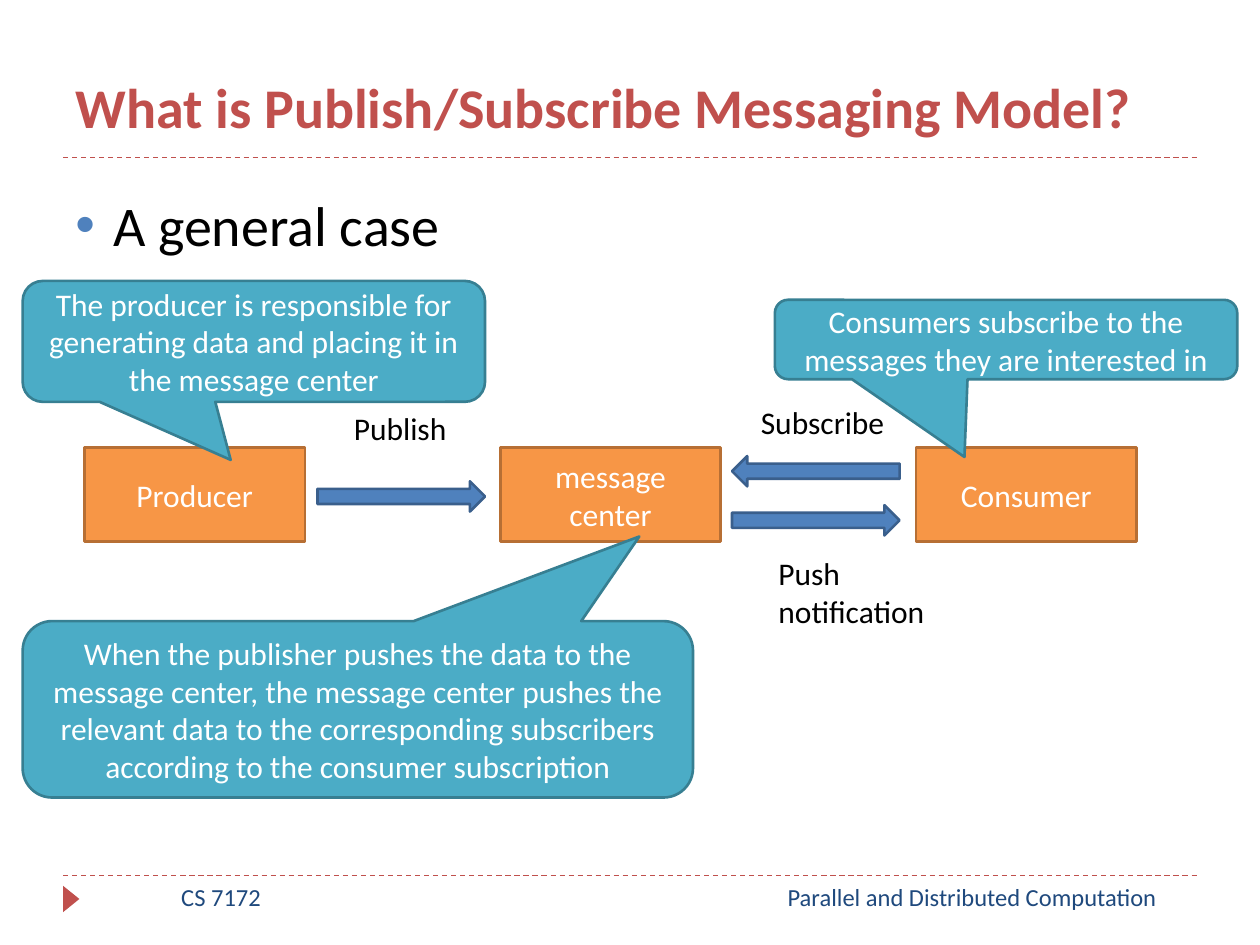
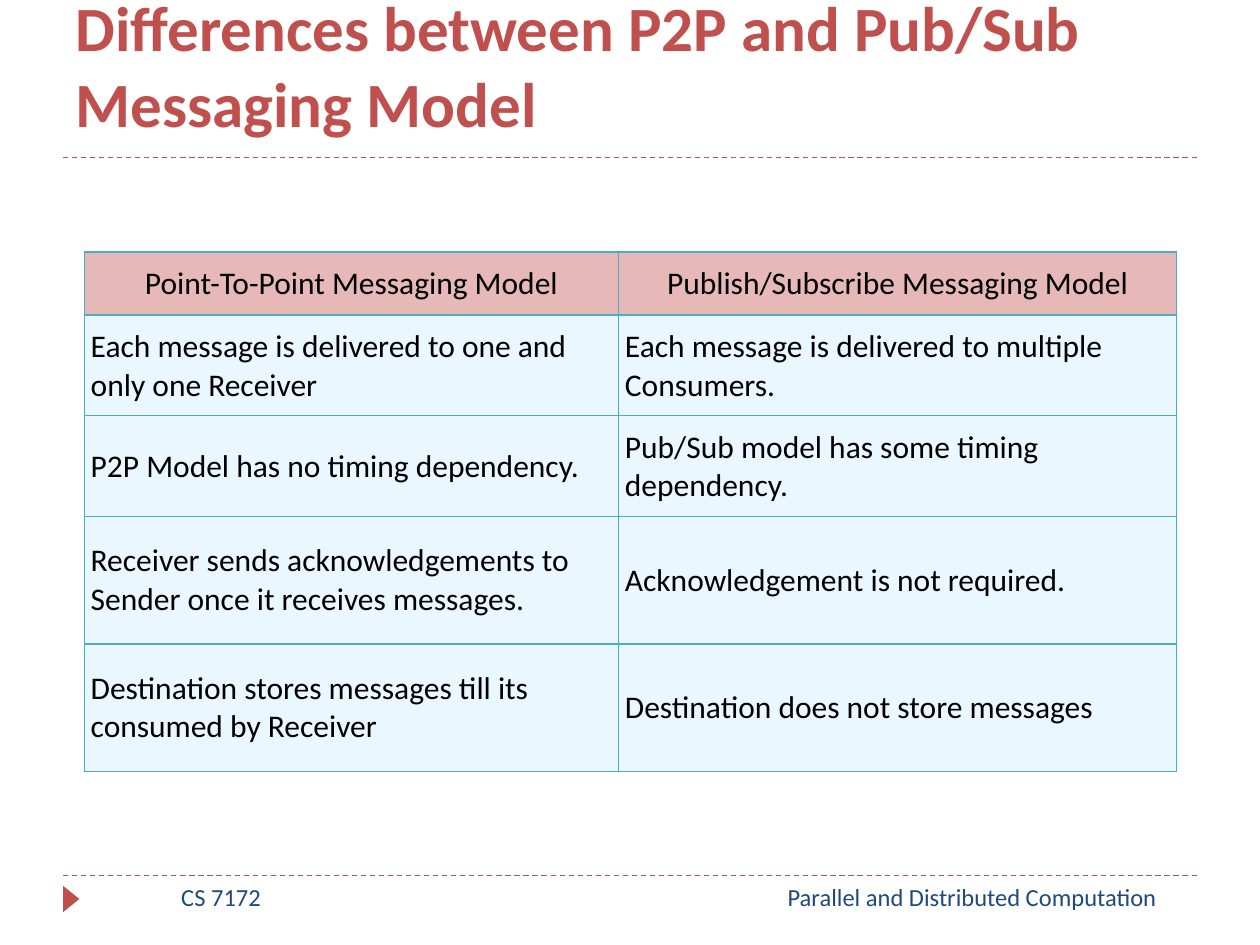
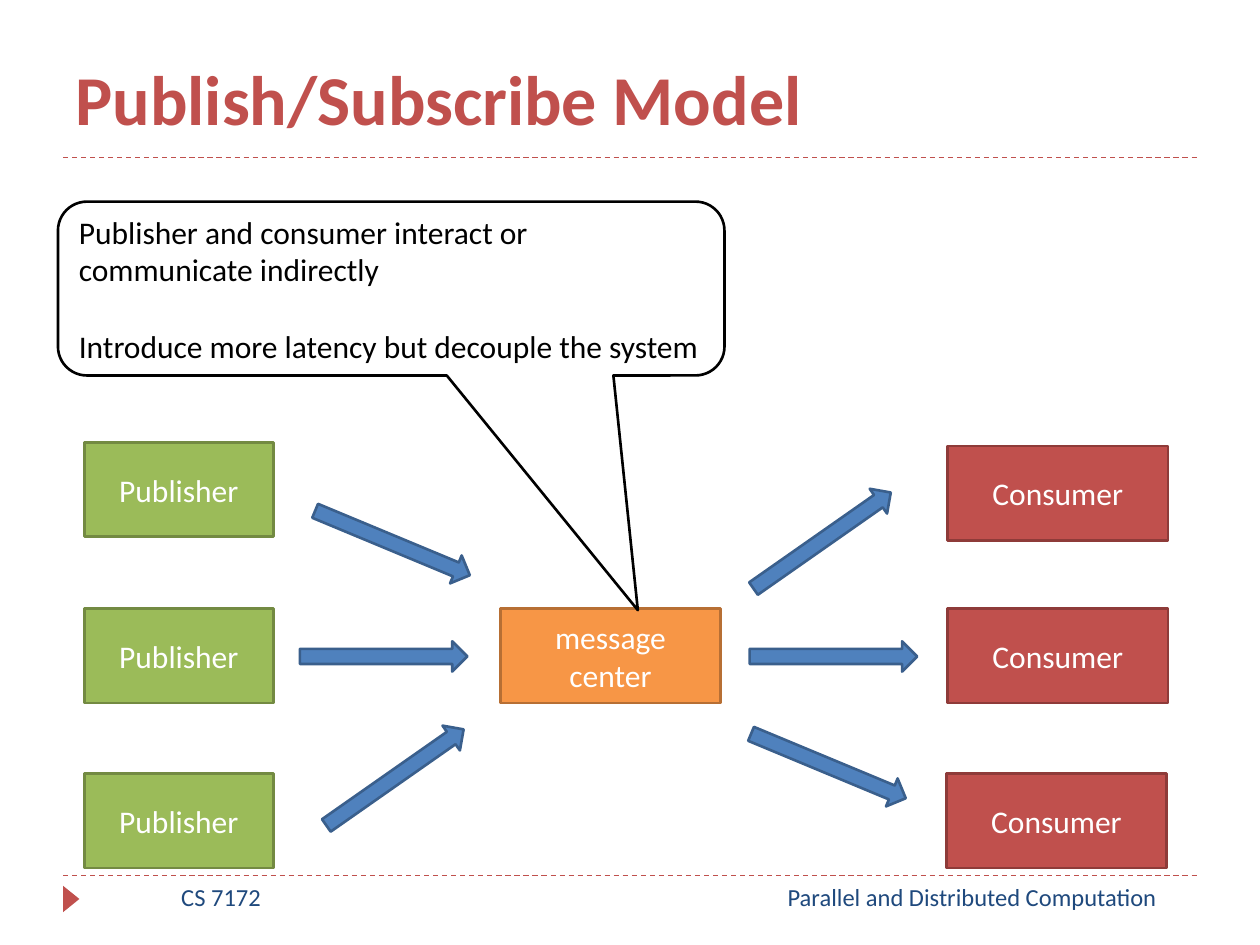
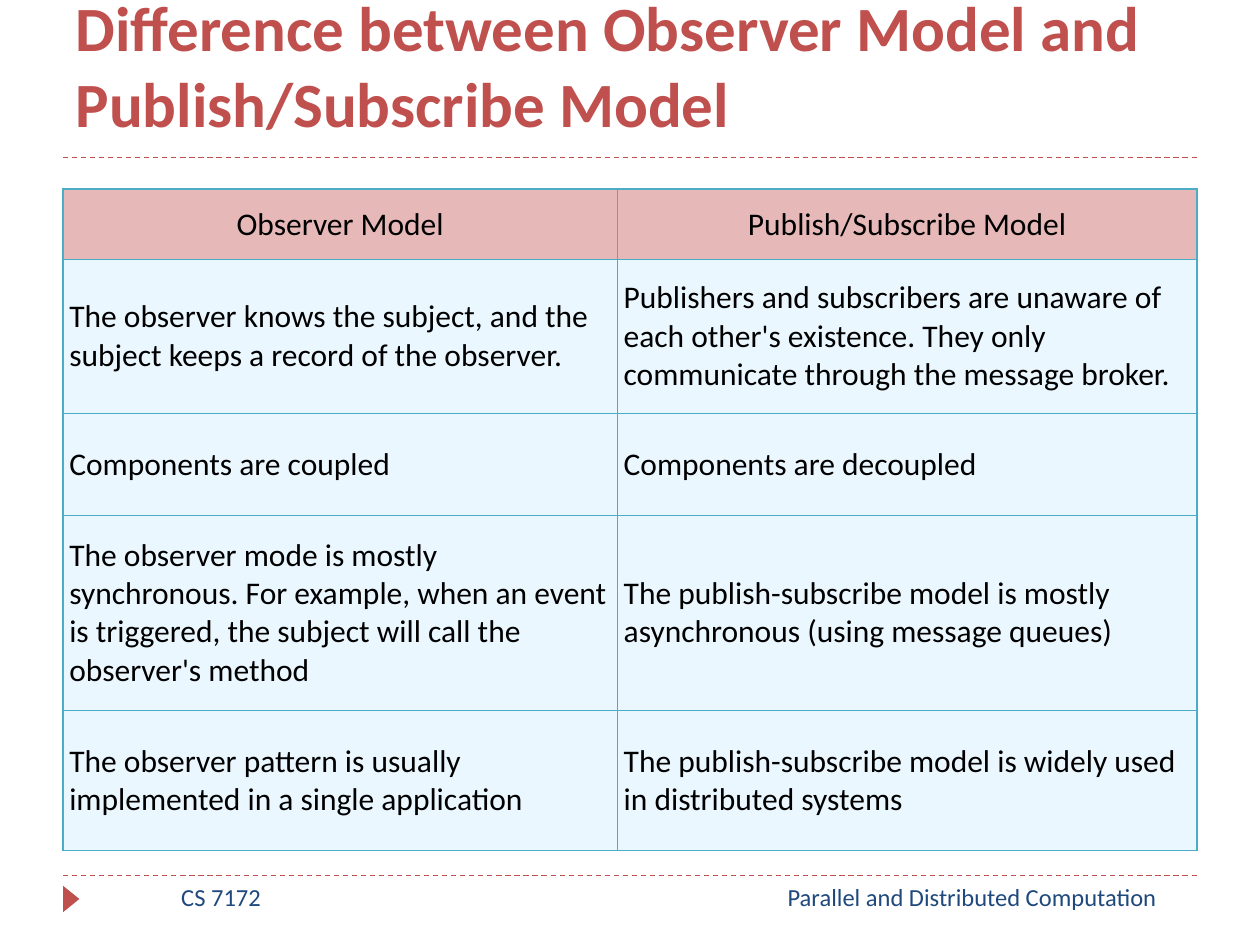
from pptx import Presentation
from pptx import util as u
from pptx.dml.color import RGBColor
from pptx.enum import dml, shapes, text
from pptx.oxml import parse_xml
from pptx.oxml.ns import nsdecls
from lxml import etree

COLORS = {
    "red": "C0504D", "red_edge": "8E3B39",
    "orange": "F79646", "orange_edge": "B76F34",
    "green": "9BBB59", "green_edge": "738A42",
    "blue": "4F81BD", "blue_edge": "3A5F8C",
    "teal": "4BACC6", "teal_edge": "377F92",
    "navy": "1F497D", "black": "000000", "white": "FFFFFF",
    "header": "E6B9B8", "cell": "EBF7FF",
}
RGB = {name: RGBColor.from_string(value) for name, value in COLORS.items()}
FONT = "Calibri"
LEFT, CENTER = text.PP_ALIGN.LEFT, text.PP_ALIGN.CENTER
RECT = shapes.MSO_SHAPE.RECTANGLE
ARROW = shapes.MSO_SHAPE.RIGHT_ARROW
CALLOUT = shapes.MSO_SHAPE.ROUNDED_RECTANGULAR_CALLOUT


def write(frame, words, size=18, color="black", align=LEFT, bold=False):
    """Fill the first paragraph of a text frame and return it."""
    frame.word_wrap = True
    paragraph = frame.paragraphs[0]
    paragraph.alignment = align
    run = paragraph.add_run()
    run.text = words
    run.font.name, run.font.size, run.font.bold = FONT, u.Pt(size), bold
    run.font.color.rgb = RGB[color]
    return paragraph


def draw(slide, kind, box, color, words="", tip=None, angle=0):
    """Add a filled, edged shape, with centred white words if there are any."""
    block = slide.shapes.add_shape(kind, *map(u.Inches, box))
    block.shadow.inherit = False
    block.rotation = angle
    block.fill.solid()
    block.fill.fore_color.rgb = RGB[color]
    block.line.color.rgb = RGB[color + "_edge"]
    block.line.width = u.Pt(1.5)
    if tip:
        block.adjustments[0], block.adjustments[1] = tip
    if words:
        block.text_frame.vertical_anchor = text.MSO_ANCHOR.MIDDLE
        write(block.text_frame, words, color="white", align=CENTER)
    return block


prs = Presentation()
prs.slide_width, prs.slide_height = u.Inches(10), u.Inches(7.5)

# Titles, rules and footers of every slide
titles = [
    ("What is Publish/Subscribe Messaging Model?", 32),
    ("Differences between P2P and Pub/Sub Messaging Model", 36),
    ("Publish/Subscribe Model", 40),
    ("Difference between Observer Model and Publish/Subscribe Model", 36),
]
footers = [(5.92, 3.59, "Parallel and Distributed Computation"), (0.67, 2.17, "CS 7172")]
slides = []
for heading, size in titles:
    slide = prs.slides.add_slide(prs.slide_layouts[5])
    slides.append(slide)

    for y in (6.95, 1.25):
        rule = slide.shapes.add_connector(
            shapes.MSO_CONNECTOR.STRAIGHT, u.Inches(0.5), u.Inches(y), u.Inches(9.5), u.Inches(y))
        rule.line.color.rgb = RGB["red"]
        rule.line.width = u.Pt(0.75)
        rule.line.dash_style = dml.MSO_LINE.DASH
        rule._element.spPr.append(parse_xml(f"<a:effectLst {nsdecls('a')}/>"))

    marker = draw(slide, shapes.MSO_SHAPE.ISOSCELES_TRIANGLE, (0.46, 7.07, 0.21, 0.13), "red", angle=90)
    marker.line.fill.background()

    title = slide.shapes.title
    title.left, title.top, title.width, title.height = map(u.Inches, (0.5, 0.08, 9, 1.08))
    title.text_frame.auto_size = text.MSO_AUTO_SIZE.NONE
    title.text_frame.vertical_anchor = text.MSO_ANCHOR.BOTTOM
    write(title.text_frame, heading, size, "red", bold=True)

    for x, width, words in footers:
        footer = slide.shapes.add_textbox(*map(u.Inches, (x, 6.95, width, 0.4)))
        write(footer.text_frame, words, 14, "navy", CENTER)

general_case, p2p_differences, pubsub_model, observer_differences = slides

# General case: bullet
topic = general_case.shapes.add_textbox(*map(u.Inches, (0.5, 1.33, 9, 0.75)))
bullet = write(topic.text_frame, "A general case", 32)
bullet.line_spacing = 1.25
props = bullet._p.get_or_add_pPr()
props.set("marL", str(u.Inches(0.3)))
props.set("indent", str(-u.Inches(0.3)))
props.append(parse_xml(f'<a:buClr {nsdecls("a")}><a:srgbClr val="{COLORS["blue"]}"/></a:buClr>'))
props.append(parse_xml(f'<a:buFont {nsdecls("a")} typeface="Arial"/>'))
props.append(parse_xml(f'<a:buChar {nsdecls("a")} char="•"/>'))

# General case: parties and the messages between them
for column, party in enumerate(["Producer", "message center", "Consumer"]):
    draw(general_case, RECT, (0.67 + 3.3 * column, 3.55, 1.75, 0.75), "orange", party)
for x, y, angle in [(2.52, 3.82, 0), (5.81, 4.01, 0), (5.81, 3.62, 180)]:
    draw(general_case, ARROW, (x, y, 1.33, 0.24), "blue", angle=angle)
for x, y, height, words in [(2.71, 3.2, 0.4, "Publish"), (5.94, 3.15, 0.4, "Subscribe"),
                            (6.08, 4.35, 0.71, "Push notification")]:
    label = general_case.shapes.add_textbox(*map(u.Inches, (x, y, 1.5, height)))
    write(label.text_frame, words)
    label.text_frame.auto_size = text.MSO_AUTO_SIZE.SHAPE_TO_FIT_TEXT

# General case: explanations
explanations = [
    ((0.18, 2.23, 3.67, 0.96), (-0.05, 0.98),
     "The producer is responsible for generating data and placing it in the message center"),
    ((6.15, 2.38, 3.67, 0.63), (-0.09, 1.48),
     "Consumers subscribe to the messages they are interested in"),
    ((0.18, 4.93, 5.32, 1.4), (0.42, -0.98),
     "When the publisher pushes the data to the message center, the message center pushes "
     "the relevant data to the corresponding subscribers according to the consumer subscription"),
]
for box, tip, words in explanations:
    draw(general_case, CALLOUT, box, "teal", words, tip)

# Publish/subscribe model: publishers, center, consumers
for y in (3.51, 4.83, 6.14):
    draw(pubsub_model, RECT, (0.67, y, 1.5, 0.75), "green", "Publisher")
draw(pubsub_model, RECT, (3.97, 4.83, 1.75, 0.75), "orange", "message center")
for x, y in [(7.52, 3.54), (7.52, 4.83), (7.51, 6.14)]:
    draw(pubsub_model, RECT, (x, y, 1.75, 0.75), "red", "Consumer")
for x, y, angle in [(2.38, 5.09, 0), (5.95, 5.09, 0), (2.45, 4.19, 22.6),
                    (5.91, 5.96, 22.6), (2.47, 6.05, 325), (5.86, 4.17, 325)]:
    draw(pubsub_model, ARROW, (x, y, 1.33, 0.24), "blue", angle=angle)

# Publish/subscribe model: remark on the center
remark = draw(pubsub_model, CALLOUT, (0.46, 1.6, 5.29, 1.38), "teal", tip=(0.37, 1.85))
remark.fill.background()
remark.line.color.rgb = RGB["black"]
remark.text_frame.vertical_anchor = text.MSO_ANCHOR.MIDDLE
write(remark.text_frame, "Publisher and consumer interact or communicate indirectly")
latency = remark.text_frame.add_paragraph()
latency.alignment = LEFT
latency.space_before = u.Pt(22)
latency_run = latency.add_run()
latency_run.text = "Introduce more latency but decouple the system"
latency_run.font.name, latency_run.font.size = FONT, u.Pt(18)
latency_run.font.color.rgb = RGB["black"]

# Comparison tables
comparisons = [
    (p2p_differences, (0.67, 2), (4.24, 4.43), (0.46, 0.73, 0.73, 1.01, 1.01), [
        ("Point-To-Point Messaging Model", "Publish/Subscribe Messaging Model"),
        ("Each message is delivered to one and only one Receiver",
         "Each message is delivered to multiple Consumers."),
        ("P2P Model has no timing dependency.", "Pub/Sub model has some timing dependency."),
        ("Receiver sends acknowledgements to Sender once it receives messages.",
         "Acknowledgement is not required."),
        ("Destination stores messages till its consumed by Receiver",
         "Destination does not store messages"),
    ]),
    (observer_differences, (0.5, 1.5), (4.4, 4.6), (0.56, 1.22, 0.81, 1.55, 1.11), [
        ("Observer Model", "Publish/Subscribe Model"),
        ("The observer knows the subject, and the subject keeps a record of the observer.",
         "Publishers and subscribers are unaware of each other's existence. "
         "They only communicate through the message broker."),
        ("Components are coupled", "Components are decoupled"),
        ("The observer mode is mostly synchronous. For example, when an event is triggered, "
         "the subject will call the observer's method",
         "The publish-subscribe model is mostly asynchronous (using message queues)"),
        ("The observer pattern is usually implemented in a single application",
         "The publish-subscribe model is widely used in distributed systems"),
    ]),
]
for slide, corner, widths, heights, rows in comparisons:
    box = (*corner, sum(widths), sum(heights))
    table = slide.shapes.add_table(len(rows), len(widths), *map(u.Inches, box)).table
    table.horz_banding = table.first_row = False
    for column, width in zip(table.columns, widths):
        column.width = u.Inches(width)
    for r, (height, row) in enumerate(zip(heights, rows)):
        table.rows[r].height = u.Inches(height)
        for c, words in enumerate(row):
            cell = table.cell(r, c)
            cell.vertical_anchor = text.MSO_ANCHOR.MIDDLE
            cell.margin_left = cell.margin_right = u.Inches(0.05)
            cell.margin_top = cell.margin_bottom = u.Inches(0.1)
            for side in ("lnL", "lnR", "lnT", "lnB"):
                cell._tc.get_or_add_tcPr().append(etree.fromstring(
                    f'<a:{side} {nsdecls("a")} w="{u.Pt(0.75)}"><a:solidFill>'
                    f'<a:srgbClr val="{COLORS["teal"]}"/></a:solidFill></a:{side}>'))
            cell.fill.solid()
            cell.fill.fore_color.rgb = RGB["cell" if r else "header"]
            write(cell.text_frame, words, align=LEFT if r else CENTER)

prs.save("out.pptx")
